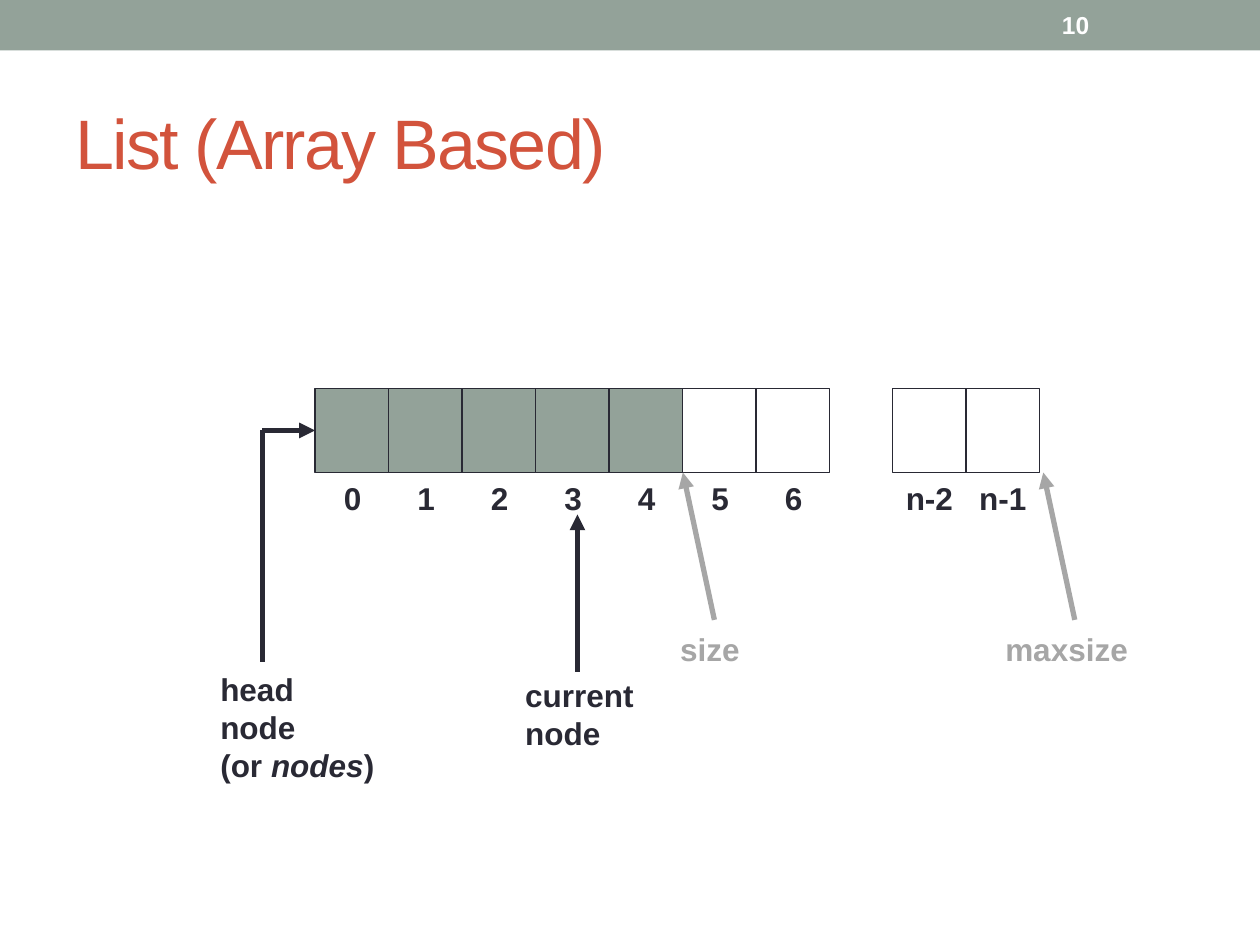
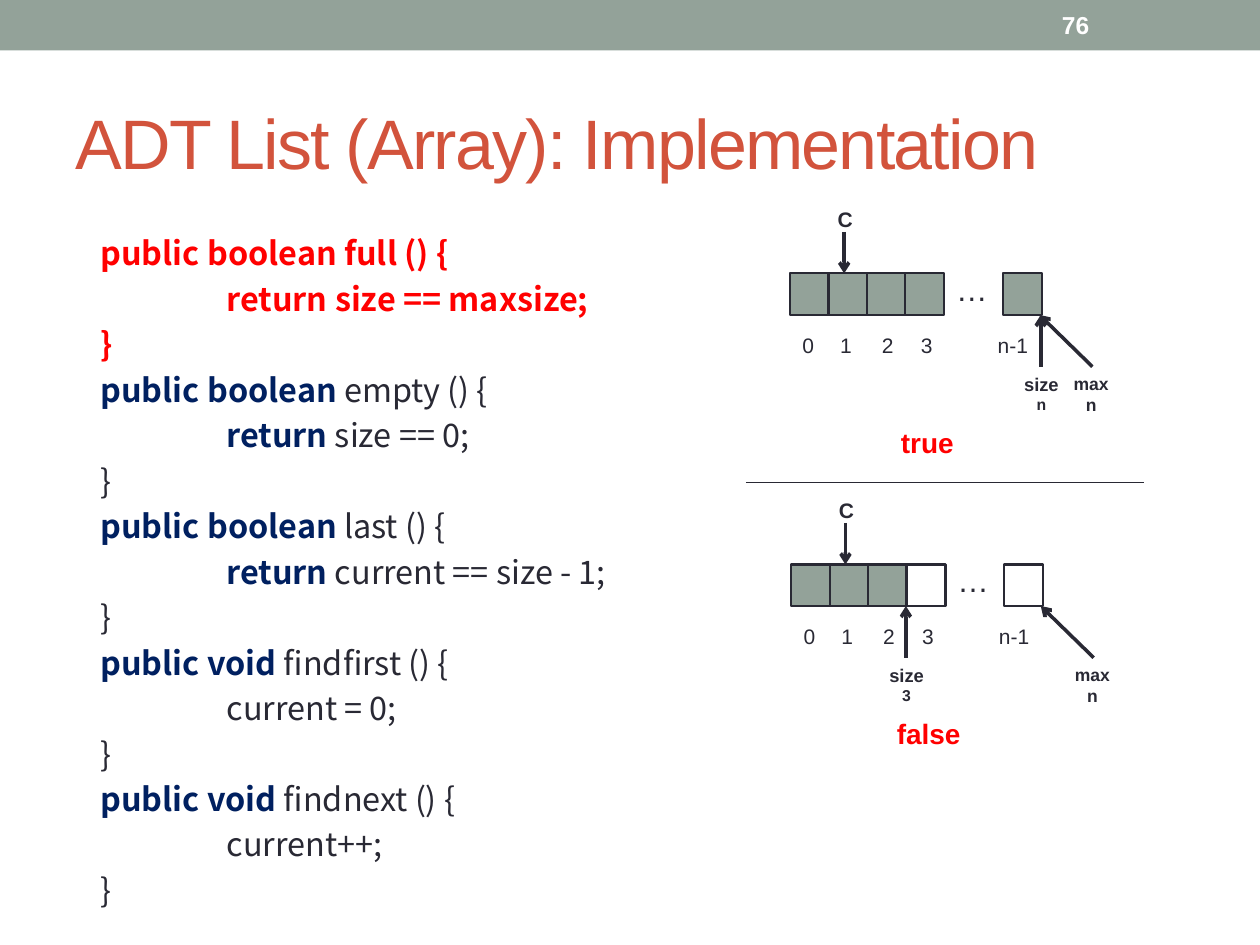
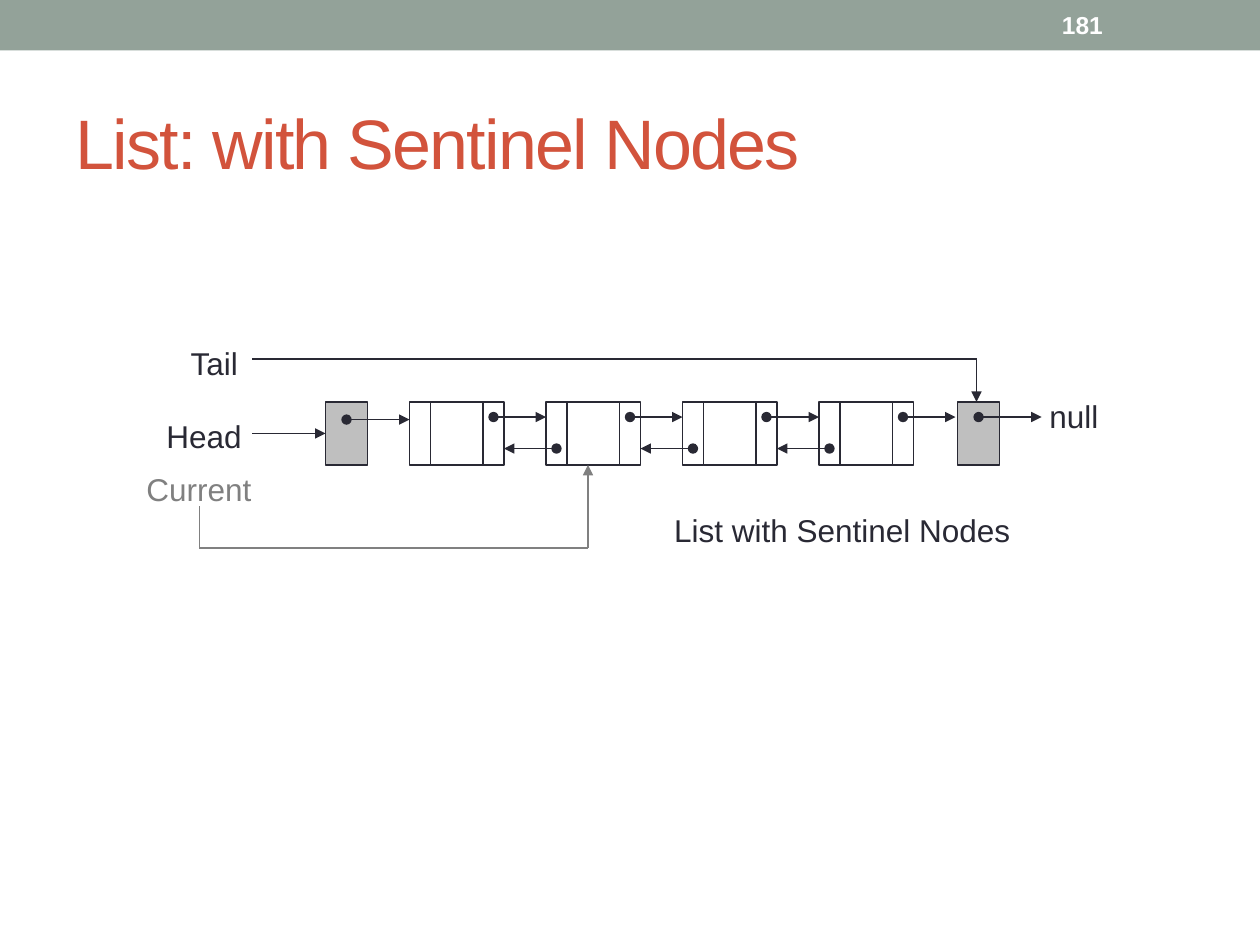
from pptx import Presentation
from pptx.dml.color import RGBColor
from pptx.enum.shapes import MSO_CONNECTOR, MSO_SHAPE
from pptx.enum.text import MSO_ANCHOR as ANCHOR, MSO_AUTO_SIZE as FIT, PP_ALIGN as ALIGN
from pptx.oxml.ns import qn
from pptx.util import Inches, Pt
from lxml import etree

COLORS = {
    "sage": "93A299", "title": "D2533C", "ink": "292934", "white": "FFFFFF",
    "red": "FF0000", "navy": "002060", "pale": "A6A6A6", "gray": "808080",
    "sentinel": "BFBFBF",
}
SANS, CODE = "Arial", "Noto Sans CJK SC"
WIDTH, HEIGHT = 10, 7.5


def grid(n):
    """Inches for n steps of the drawing grid, twelve to the inch."""
    return n / 12


def rgb(name):
    return RGBColor.from_string(COLORS[name])


def rect(s, x, y, w, h, fill=None, line="ink", weight=0.75):
    sp = s.shapes.add_shape(MSO_SHAPE.RECTANGLE, *map(Inches, (x, y, w, h)))
    sp.shadow.inherit = False
    if fill:
        sp.fill.solid()
        sp.fill.fore_color.rgb = rgb(fill)
    else:
        sp.fill.background()
    if line:
        sp.line.color.rgb = rgb(line)
        sp.line.width = Pt(weight)
    else:
        sp.line.fill.background()


def line(s, start, end, color="ink", weight=0.75, head=None, tail=None):
    """Straight line; head is the mark at its start, tail the one at its end."""
    cx = s.shapes.add_connector(MSO_CONNECTOR.STRAIGHT, *map(Inches, (*start, *end)))
    cx.line.color.rgb = rgb(color)
    cx.line.width = Pt(weight)
    ln = cx.line._get_or_add_ln()
    for tag, mark in (("a:headEnd", head), ("a:tailEnd", tail)):
        if mark:
            etree.SubElement(ln, qn(tag)).set("type", mark)
    etree.SubElement(cx._element.spPr, qn("a:effectLst"))


def add_run(p, content, size, color="ink", bold=False, italic=False, font=SANS):
    r = p.add_run()
    r.text = content
    r.font.name, r.font.size = font, Pt(size)
    r.font.bold, r.font.italic = bold, italic
    r.font.color.rgb = rgb(color)


def text(s, x, y, w, h, *lines, align=ALIGN.LEFT, anchor=ANCHOR.TOP, wrap=False, **style):
    """Text box; each line is a string or a list of (string, style changes) runs."""
    tf = s.shapes.add_textbox(*map(Inches, (x, y, w, h))).text_frame
    tf.word_wrap = wrap
    tf.vertical_anchor = anchor
    tf.auto_size = FIT.SHAPE_TO_FIT_TEXT if anchor == ANCHOR.TOP else FIT.NONE
    for i, runs in enumerate(lines):
        p = tf.paragraphs[0] if i == 0 else tf.add_paragraph()
        p.alignment = align
        for content, changes in [(runs, {})] if isinstance(runs, str) else runs:
            add_run(p, content, **{**style, **changes})
    return tf


def new_slide(prs, title, number):
    """Blank slide with the top band, its page number and the title."""
    s = prs.slides.add_slide(prs.slide_layouts[6])
    rect(s, 0, 0, WIDTH, 0.4, fill="sage", line=None)
    tf = text(s, 0.5, 0.58, WIDTH - 1, 1.08, title, anchor=ANCHOR.MIDDLE,
              wrap=True, size=40, color="title")
    tf.paragraphs[0].runs[0].font._element.set("spc", "-100")
    text(s, 8.33, 0.02, 1.17, 0.36, number, anchor=ANCHOR.MIDDLE, wrap=True,
         size=14, color="white", bold=True)
    return s


def array_slide(prs):
    s = new_slide(prs, "List (Array Based)", "10")
    cell_w, cell_h, top, left = grid(7), grid(8), grid(37), grid(30)
    bottom = top + cell_h
    label = {"size": 18, "bold": True}

    def cell(x, index, label_w, fill=None):
        rect(s, x, top, cell_w, cell_h, fill)
        text(s, x + (cell_w - label_w) / 2 + 0.01, bottom, label_w, 0.43, index, **label)

    for i in range(7):
        cell(left + i * cell_w, str(i), 0.34, "sage" if i < 5 else None)
    for i, index in enumerate(("n-2", "n-1")):
        cell(grid(85) + i * cell_w, index, 0.59)

    elbow = (grid(25), grid(41))
    line(s, elbow, (left, elbow[1]), weight=3, tail="triangle")
    line(s, elbow, (elbow[0], grid(63)), weight=3)
    text(s, 1.65, 5.27, 1.45, 1.01, "head", "node",
         [("(or ", {}), ("nodes", {"italic": True}), (")", {})], **label)

    line(s, (grid(55), grid(64)), (grid(55), grid(49)), weight=3, tail="triangle")
    text(s, 4.07, 5.32, 1.1, 0.77, "current", "node", wrap=True, **label)

    for name, x, label_x, label_w in (("size", 5.42, 5.3, 0.76), ("maxsize", 8.28, 7.88, 1.31)):
        line(s, (x + 0.25, bottom + 1.17), (x, bottom), "pale", 3, tail="triangle")
        text(s, label_x, 4.95, label_w, 0.4, name, wrap=True, color="pale", **label)


def code_block(s, methods):
    """Methods as (keywords, signature, body keyword, body, highlighted)."""
    lines, margins = [], []
    for keywords, signature, body_keyword, body, highlighted in methods:
        key = {"color": "red" if highlighted else "navy", "bold": True}
        plain = key if highlighted else {}
        lines += [[(keywords, key), (signature, plain)],
                  [(body_keyword, key), (body, plain)] if body_keyword else [(body, plain)],
                  [("}", plain)]]
        margins += [0.2, 1.2, 0.2]
    tf = text(s, 0.5, 1.75, 9, 5.33, *lines, wrap=True, size=18.5, font=CODE)
    for p, margin in zip(tf.paragraphs, margins):
        p.line_spacing = Pt(26)
        p._p.get_or_add_pPr().set("marL", str(Inches(margin)))


def array_state(s, left, top, used, last_fill, size_x, size_value, result):
    """Small array with its current, size and max pointers and the result."""
    cell_w, cell_h, last = 0.31, 0.33, left + 1.69
    bottom, end = top + cell_h, left + 2
    pointer_y = bottom + 0.41
    for i in range(4):
        rect(s, left + i * 0.305, top, cell_w, cell_h, "sage" if i < used else None, weight=1.25)
    rect(s, last, top, cell_w, cell_h, last_fill, weight=1.25)
    text(s, left + 1.22, top - 0.08, 0.45, 0.4, "…", size=18)
    for index, dx in zip("0123", (0, 0.3, 0.63, 0.94)):
        text(s, left + dx, top + 0.42, 0.31, 0.3, index, size=12)
    text(s, left + 1.55, top + 0.42, 0.53, 0.3, "n-1", size=12)

    line(s, (left + 0.43, top - 0.33), (left + 0.43, top), weight=2, tail="arrow")
    text(s, left + 0.28, top - 0.58, 0.32, 0.3, "C", size=12, bold=True)
    line(s, (size_x, pointer_y), (size_x, bottom), weight=2, tail="arrow")
    text(s, size_x - 0.24, pointer_y, 0.49, 0.43, "size", [(size_value, {"size": 9})],
         align=ALIGN.CENTER, size=10.5, bold=True)
    line(s, (end + 0.4, pointer_y), (end - 0.02, bottom), weight=2, tail="arrow")
    text(s, end + 0.14, pointer_y, 0.5, 0.57, "max", "n",
         align=ALIGN.CENTER, size=10, bold=True)
    text(s, left + 0.69, top + 1.16, 0.8, 0.37, result, align=ALIGN.CENTER,
         size=16, color="red", bold=True)


def implementation_slide(prs):
    s = new_slide(prs, "ADT List (Array): Implementation", "76")
    code_block(s, [
        ("public boolean ", "full () {", "return", " size == maxsize;", True),
        ("public boolean ", "empty () {", "return", " size == 0;", False),
        ("public boolean ", "last () {", "return", " current == size - 1;", False),
        ("public void ", "findfirst () {", "", "current = 0;", False),
        ("public void ", "findnext () {", "", "current++;", False),
    ])
    array_state(s, 6.27, 2.17, 4, "sage", 8.26, "n", "true")
    line(s, (5.92, 3.83), (9.08, 3.83))
    array_state(s, 6.28, 4.48, 3, None, 7.19, "3", "false")


def sentinel_slide(prs):
    s = new_slide(prs, "List: with Sentinel Nodes", "181")
    top, node_h, link_w, data_w = 3.19, 0.5, grid(2), grid(5)
    node_w, pitch, first = 2 * link_w + data_w, grid(13), grid(39)
    bottom, next_y, back_y = top + node_h, 3.31, 3.56
    link = {"head": "oval", "tail": "triangle"}

    nodes = [first + i * pitch for i in range(4)]
    for i, x in enumerate(nodes):
        right = x + node_w
        rect(s, x, top, link_w, node_h)
        rect(s, x + link_w, top, data_w, node_h)
        rect(s, right - link_w, top, link_w, node_h)
        line(s, (right - link_w / 2, next_y), (right + grid(4), next_y), **link)
        if i:
            line(s, (x + link_w / 2, back_y), (x - pitch + node_w, back_y), **link)
    for x, y in ((grid(31), 3.33), (7.6, next_y)):
        rect(s, x, top, grid(4), node_h, "sentinel")
        line(s, (x + grid(2), y), (x + grid(8), y), **link)

    for name, x, y, color in (("Tail", 1.2, 2.67, "ink"), ("Head", 1.12, 3.25, "ink"),
                              ("Current", 1.08, 3.67, "gray")):
        text(s, x, y, 1, 0.42, name, align=ALIGN.CENTER, anchor=ANCHOR.MIDDLE,
             size=18, color=color)
    line(s, (2, 3.44), (grid(31), 3.44), tail="triangle")
    line(s, (2, 2.85), (7.75, 2.85))
    line(s, (7.75, 2.85), (7.75, top), tail="triangle")
    current_x, target_x, turn_y = grid(19), grid(56), 4.35
    line(s, (current_x, 4.02), (current_x, turn_y), "gray")
    line(s, (current_x, turn_y), (target_x, turn_y), "gray")
    line(s, (target_x, turn_y), (target_x, bottom), "gray", tail="triangle")
    text(s, 8.23, 3.1, 0.66, 0.4, "null", size=18)
    text(s, 5.12, 4.01, 3.13, 0.4, "List with Sentinel Nodes", align=ALIGN.CENTER, size=18)


def main():
    prs = Presentation()
    prs.slide_width, prs.slide_height = Inches(WIDTH), Inches(HEIGHT)
    array_slide(prs)
    implementation_slide(prs)
    sentinel_slide(prs)
    prs.save("out.pptx")


if __name__ == "__main__":
    main()
